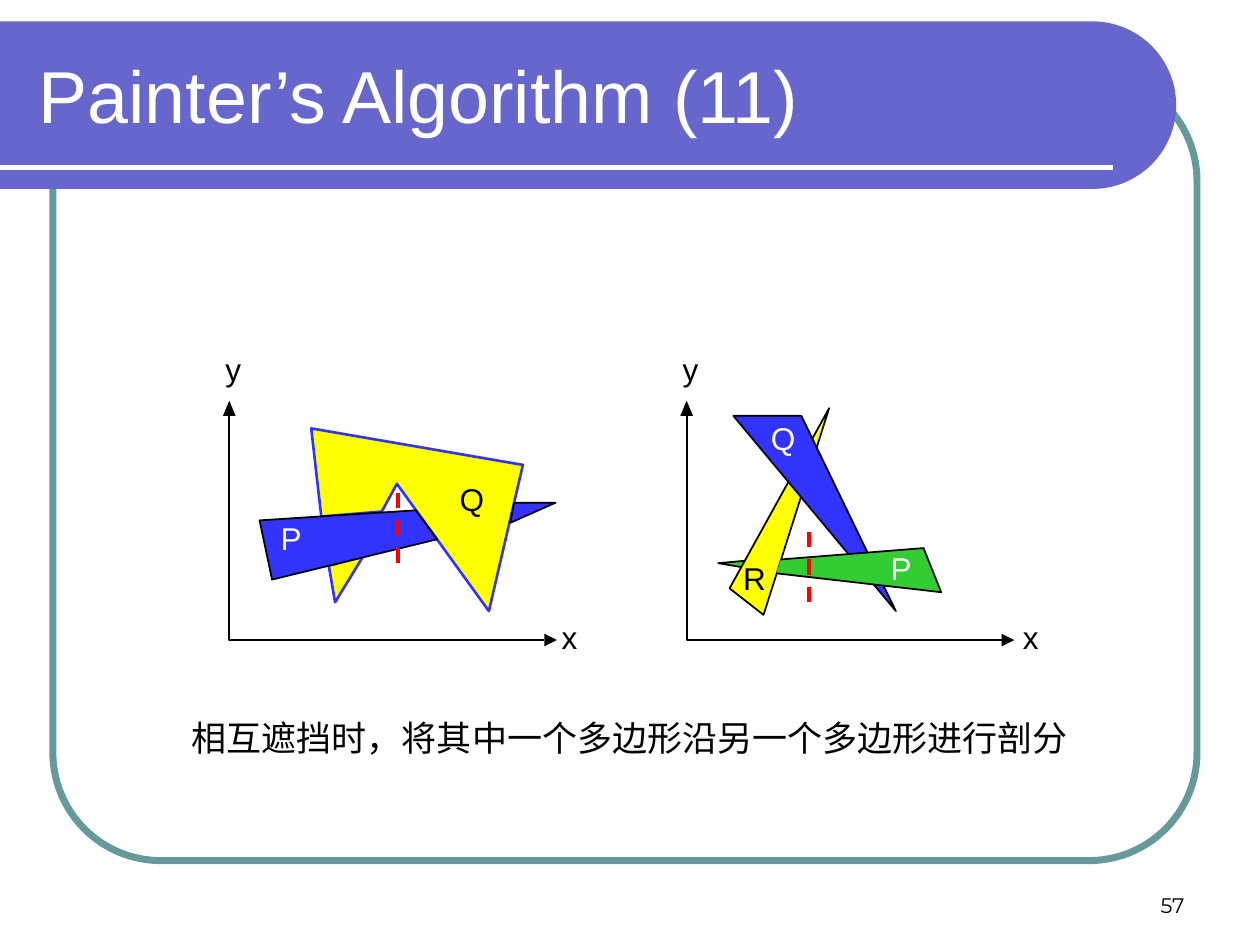
import math
import pptx
import pptx.util
import pptx.dml.color
import pptx.enum.dml
import pptx.enum.shapes
import pptx.enum.text
import pptx.oxml.ns
import lxml.etree

Inches = pptx.util.Inches
Align = pptx.enum.text.PP_ALIGN
Anchor = pptx.enum.text.MSO_ANCHOR
Fit = pptx.enum.text.MSO_AUTO_SIZE

theme = {
    "violet": "6666CC", "teal": "669999", "white": "FFFFFF", "black": "000000",
    "yellow": "FFFF00", "blue": "3333FF", "green": "33CC33", "red": "FF0000",
    "font": "Arial", "small": "Montserrat",
    "title": 42, "note": 20, "label": 18, "page": 12,
}

title = "Painter’s Algorithm (11)"
note = "相互遮挡时，将其中一个多边形沿另一个多边形进行剖分"
page = "57"

plots = [
    {
        "x0": 1.82, "gap": 2.54,
        "areas": [
            ("yellow", "blue", 1.5, True, [(2.55, 4.1), (2.47, 3.4), (4.15, 3.69),
                                           (3.88, 4.85), (3.15, 3.84), (3.03, 4.06)]),
            ("yellow", "blue", 1.5, True, [(2.88, 4.42), (2.66, 4.78), (2.61, 4.49)]),
            ("blue", "black", 1, True, [(3.3, 4.05), (2.06, 4.13), (2.16, 4.6), (3.47, 4.28)]),
            ("blue", "black", 1, True, [(4.08, 3.99), (4.41, 3.99), (4.05, 4.15)]),
        ],
        "names": [("Q", 3.55, 3.76, 0.4, "black"), ("P", 2.13, 4.07, 0.37, "white")],
        "cut": (3.16, 3.91),
    },
    {
        "x0": 5.45, "gap": 2.57,
        "areas": [
            ("green", "black", 1, False, [(5.88, 4.5), (5.7, 4.47), (5.92, 4.45)]),
            ("yellow", "black", 1, True, [(5.79, 4.67), (6.58, 3.24), (6.06, 4.88)]),
            ("blue", "black", 1, True, [(5.82, 3.3), (6.36, 3.3), (7.11, 4.85)]),
            ("green", "black", 1, False, [(6.2, 4.44), (7.33, 4.35), (7.47, 4.7), (6.16, 4.55)]),
        ],
        "names": [("R", 5.8, 4.39, 0.38, "black"), ("P", 6.97, 4.31, 0.37, "white"),
                  ("Q", 6.02, 3.28, 0.4, "white")],
        "cut": (6.42, 4.22),
    },
]

deck = pptx.Presentation()
deck.slide_width, deck.slide_height = Inches(10), Inches(7.5)
slide = deck.slides.add_slide(deck.slide_layouts[6])
shapes = slide.shapes


def tint(name):
    return pptx.dml.color.RGBColor.from_string(theme[name])


def put(item, **vals):
    for key, val in vals.items():
        setattr(item, key, val)


def paint(shape, fill=None, edge=None, width=1):
    shape.shadow.inherit = False
    if fill:
        shape.fill.solid()
        shape.fill.fore_color.rgb = tint(fill)
    else:
        shape.fill.background()
    if edge:
        shape.line.color.rgb = tint(edge)
        shape.line.width = pptx.util.Pt(width)
    else:
        shape.line.fill.background()


def area(spots, fill=None, edge=None, width=1, close=True):
    spots = [(Inches(x), Inches(y)) for x, y in spots]
    form = shapes.build_freeform(*spots[0], scale=1)
    form.add_line_segments(spots[1:], close=close)
    paint(form.convert_to_shape(), fill, edge, width)


def rule(x1, y1, x2, y2, color, width, dash=None):
    line = shapes.add_connector(pptx.enum.shapes.MSO_CONNECTOR.STRAIGHT,
                                *map(Inches, (x1, y1, x2, y2)))
    line.line.color.rgb = tint(color)
    put(line.line, width=pptx.util.Pt(width), dash_style=dash)
    lxml.etree.SubElement(line._element.spPr, pptx.oxml.ns.qn("a:effectLst"))


def write(text, at, size, color="black", font="font", align=Align.LEFT, **frame):
    body = shapes.add_textbox(*map(Inches, at)).text_frame
    put(body, **frame)
    para = body.paragraphs[0]
    para.alignment = align
    run = para.add_run()
    run.text = text
    put(run.font, size=pptx.util.Pt(theme[size]), name=theme[font])
    run.font.color.rgb = tint(color)


def label(text, x, y, width, color="black"):
    write(text, (x, y, width, 0.4), "label", color,
          word_wrap=False, auto_size=Fit.SHAPE_TO_FIT_TEXT)


frame = shapes.add_shape(pptx.enum.shapes.MSO_SHAPE.ROUNDED_RECTANGLE,
                         *map(Inches, (0.42, 0.58, 9.08, 6.25)))
frame.adjustments[0] = 0.137
paint(frame, edge="teal", width=4)

top, rad, mid = 0.17, 0.665, 8.67
turns = [math.pi * (i / 60 - 0.5) for i in range(61)]
curve = [(mid + rad * math.cos(t), top + rad + rad * math.sin(t)) for t in turns]
area([(0, top)] + curve + [(0, top + 2 * rad)], "violet")
rule(0, 1.33, 8.83, 1.33, "white", 3)

write(page, (7.17, 6.83, 2.33, 0.5), "page", font="small", align=Align.RIGHT,
      word_wrap=True, vertical_anchor=Anchor.BOTTOM)
write(title, (0.21, 0.25, 8.77, 1), "title", "white",
      word_wrap=True, vertical_anchor=Anchor.MIDDLE)

high, base, reach, half = 3.3, 5.08, 2.5, 0.05
for plot in plots:
    x0 = plot["x0"]
    end = x0 + reach
    for fill, edge, width, close, spots in plot["areas"]:
        area(spots, fill, edge, width, close)
    area([(x0 - half, high), (x0 + half, high), (x0, high - 0.12)], "black")
    area([(end, base - half), (end, base + half), (end + 0.1, base)], "black")
    area([(x0, high), (x0, base), (end, base)], edge="black", close=False)
    label("x", x0 + plot["gap"], 4.86, 0.33)
    label("y", x0 - 0.13, 2.73, 0.33)
    for name in plot["names"]:
        label(*name)

for plot in plots:
    x, y = plot["cut"]
    rule(x, y, x, y + 0.63, "red", 2.25, pptx.enum.dml.MSO_LINE.DASH)

write(note, (1.3, 5.64, 7.4, 0.43), "note", align=Align.CENTER,
      word_wrap=True, auto_size=Fit.SHAPE_TO_FIT_TEXT)

deck.save("out.pptx")
